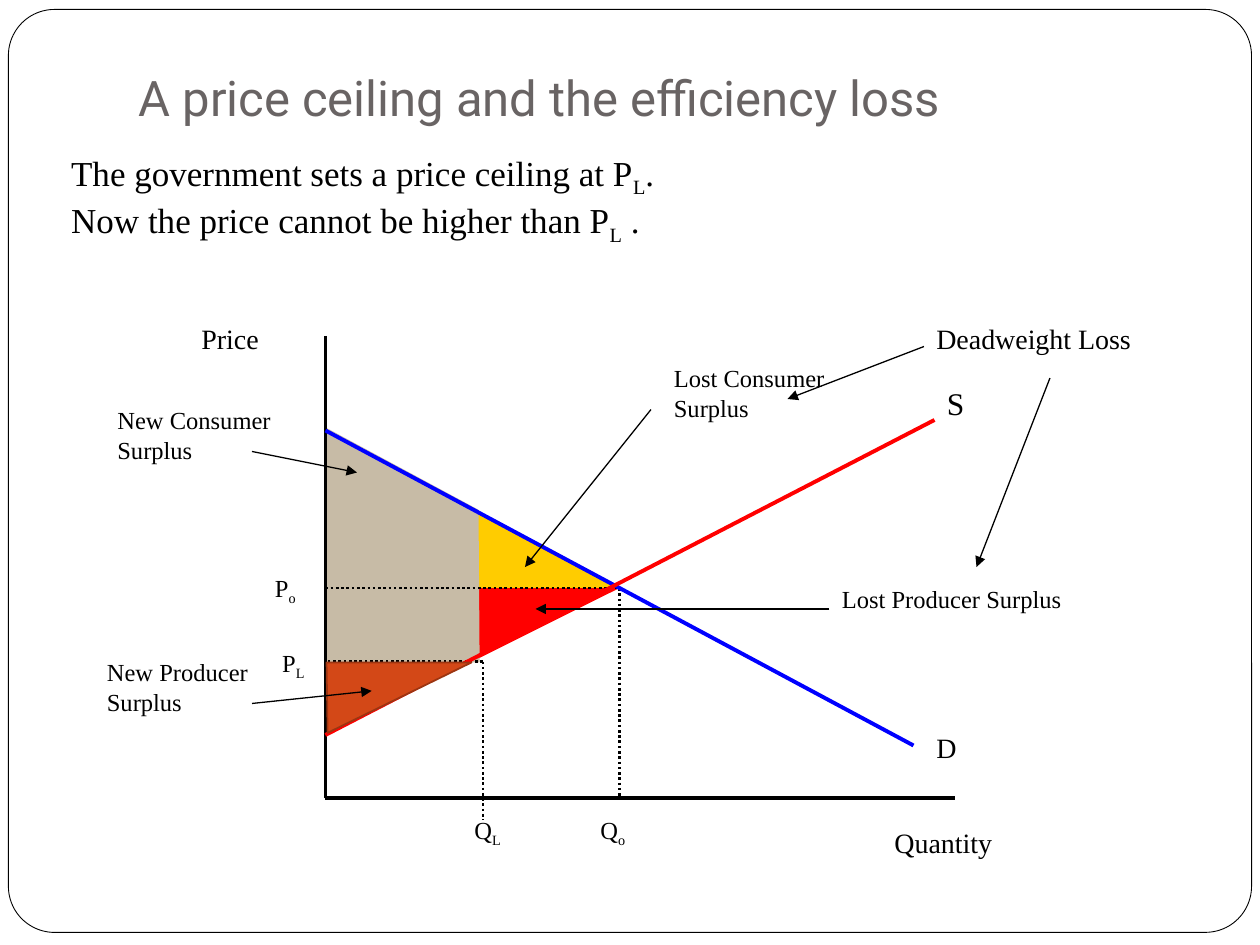
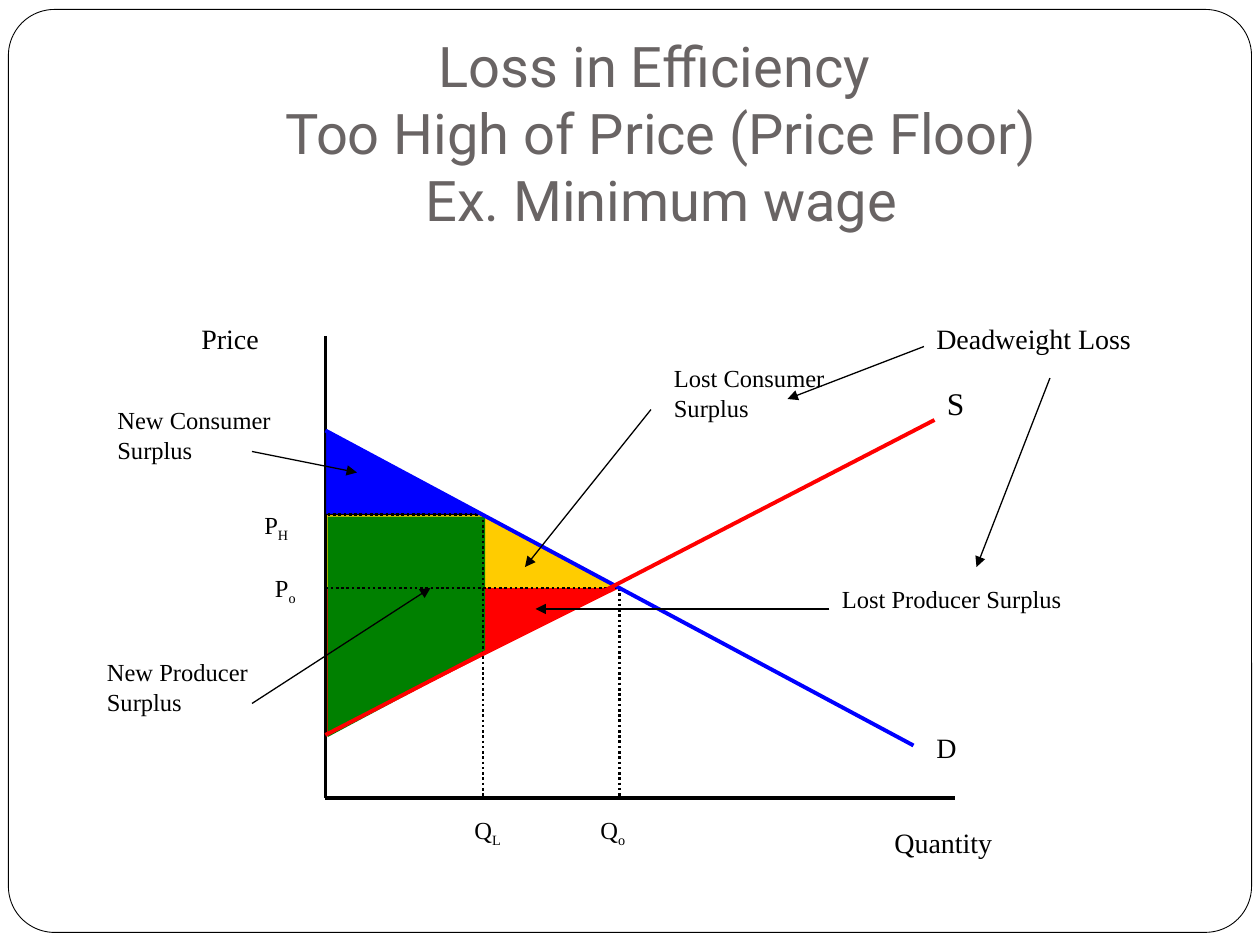
from dataclasses import dataclass

from lxml import etree
from pptx import Presentation
from pptx import util as u
from pptx.dml import color
from pptx.enum import dml, shapes, text
from pptx.oxml import ns

PX = 7620


@dataclass(frozen=True)
class Theme:
    title_font: str = "Roboto"
    body_font: str = "Times New Roman"
    ink: str = "000000"
    paper: str = "FFFFFF"
    title: str = "696464"
    demand: str = "0000FF"
    supply: str = "FF0000"
    lost_consumer: str = "FFCC00"
    lost_producer: str = "FF0000"
    ceiling_consumer: str = "C7BBA6"
    ceiling_producer: str = "D34817"
    ceiling_producer_edge: str = "9C3511"
    floor_consumer: str = "0000FF"
    floor_producer: str = "008000"
    note: int = 14
    label: int = 16
    supply_label: int = 18
    statement: int = 20
    hairline: float = 0.5
    thin: float = 0.75
    edge: float = 1
    dotted: float = 1.5
    thick: float = 2.25


THEME = Theme()

AXIS_X, AXIS_Y = 310, 760
DEMAND_TOP, SUPPLY_BOTTOM = (AXIS_X, 410), (AXIS_X, 700)
EQUILIBRIUM = (590, 560)
Q_LOW, P_LOW, P_HIGH = 460, 630, 490


def px(*lengths):
    return [u.Emu(length * PX) for length in lengths]


def rgb(value):
    return color.RGBColor.from_string(value)


def set_font(paragraph, name, size, ink):
    paragraph.font.name = name
    paragraph.font.size = u.Pt(size)
    paragraph.font.color.rgb = rgb(ink)


def style_shape(shape, fill, edge=None, width=0):
    shape.shadow.inherit = False
    shape.fill.solid()
    shape.fill.fore_color.rgb = rgb(fill)
    if edge:
        shape.line.color.rgb = rgb(edge)
        shape.line.width = u.Pt(width)
    else:
        shape.line.fill.background()


def add_frame(deck, page):
    frame = page.shapes.add_shape(
        shapes.MSO_SHAPE.ROUNDED_RECTANGLE, *px(8, 9, 1184, 879))
    frame.adjustments[0] = 0.05
    style_shape(frame, THEME.paper, THEME.ink, THEME.hairline)
    frame.element.nvSpPr.cNvPr.id = 20
    deck.slide_master.shapes.element.insert(2, frame.element)


def set_title(page, words, height, size, align, bottom_inset):
    title = page.shapes.title
    title.left, title.top, title.width, title.height = px(120, 36, 1020, height)
    frame = title.text_frame
    frame.text = words
    frame.word_wrap = True
    frame.auto_size = text.MSO_AUTO_SIZE.NONE
    frame.vertical_anchor = text.MSO_ANCHOR.BOTTOM
    frame.margin_left, frame.margin_top, frame.margin_right, frame.margin_bottom = px(
        12, 6, 12, bottom_inset)
    paragraph = frame.paragraphs[0]
    paragraph.alignment = align
    set_font(paragraph, THEME.title_font, size, THEME.title)


def add_span(paragraph, words, subscript=False):
    span = paragraph.add_run()
    span.text = words
    if subscript:
        span._r.get_or_add_rPr().set("baseline", "-25000")


def add_text(page, words, left, top, width, height, size=THEME.note, wrap=True):
    box = page.shapes.add_textbox(*px(left, top, width, height))
    frame = box.text_frame
    frame.word_wrap = wrap
    frame.auto_size = text.MSO_AUTO_SIZE.SHAPE_TO_FIT_TEXT
    for index, line in enumerate(words.split("\n")):
        paragraph = frame.add_paragraph() if index else frame.paragraphs[0]
        set_font(paragraph, THEME.body_font, size, THEME.ink)
        plain, *marked = line.split("_")
        add_span(paragraph, plain)
        for part in marked:
            add_span(paragraph, part[0], subscript=True)
            if part[1:]:
                add_span(paragraph, part[1:])


def add_line(page, start, end, width=THEME.thick, ink=THEME.ink):
    line = page.shapes.add_connector(
        shapes.MSO_CONNECTOR.STRAIGHT, *px(*start, *end))
    line.line.color.rgb = rgb(ink)
    line.line.width = u.Pt(width)
    etree.SubElement(line.element.spPr, ns.qn("a:effectLst"))
    return line


def add_dotted(page, start, end):
    line = add_line(page, start, end, THEME.dotted)
    line.line.dash_style = dml.MSO_LINE.ROUND_DOT


def add_arrow(page, start, end):
    arrow = add_line(page, start, end, THEME.thin)
    head = etree.SubElement(arrow.line._get_or_add_ln(), ns.qn("a:tailEnd"))
    head.set("type", "triangle")


def add_area(page, points, fill, edge=None, width=0):
    builder = page.shapes.build_freeform(*points[0], scale=PX)
    builder.add_line_segments(points[1:], close=True)
    style_shape(builder.convert_to_shape(), fill, edge, width)


def add_lost_surplus(page):
    center = (AXIS_X, EQUILIBRIUM[1])
    add_area(page, [SUPPLY_BOTTOM, center, EQUILIBRIUM], THEME.lost_producer)
    add_area(page, [DEMAND_TOP, center, EQUILIBRIUM], THEME.lost_consumer)


def add_axes(page):
    origin = (AXIS_X, AXIS_Y)
    add_line(page, (AXIS_X, 320), origin)
    add_line(page, origin, (910, AXIS_Y))
    add_text(page, "Price", 180, 300, 150, 44, THEME.label)
    add_text(page, "Quantity", 840, 780, 220, 44, THEME.label)


def add_curves(page):
    add_line(page, DEMAND_TOP, (870, 710), ink=THEME.demand)
    add_line(page, SUPPLY_BOTTOM, (890, 400), ink=THEME.supply)
    add_text(page, "S", 890, 360, 60, 48, THEME.supply_label)
    add_text(page, "D", 880, 690, 80, 44, THEME.label)


def add_guides(page, price, quantity_end):
    add_dotted(page, (AXIS_X, EQUILIBRIUM[1]), EQUILIBRIUM)
    add_dotted(page, EQUILIBRIUM, (EQUILIBRIUM[0], AXIS_Y))
    add_dotted(page, (Q_LOW, price), (AXIS_X, price))
    add_dotted(page, (Q_LOW, price), (Q_LOW, quantity_end))
    add_text(page, "P_o", 250, 540, 60, 40)
    add_text(page, "Q_o", 560, 770, 70, 40)
    add_text(page, "Q_L", 440, 770, 70, 40)


def add_callouts(page, producer_target):
    add_text(page, "New Consumer Surplus", 100, 380, 190, 68)
    add_text(page, "New Producer Surplus", 90, 620, 180, 68)
    add_text(page, "Lost Consumer Surplus", 630, 340, 180, 96)
    add_text(page, "Lost Producer Surplus", 790, 550, 260, 40)
    add_text(page, "Deadweight Loss", 880, 300, 250, 44, THEME.label)
    for start, end in (
        ((240, 430), (340, 450)),
        ((240, 670), producer_target),
        ((620, 390), (500, 540)),
        ((790, 580), (510, 580)),
        ((880, 330), (750, 380)),
        ((1000, 360), (930, 540)),
    ):
        add_arrow(page, start, end)


def build_ceiling(page):
    set_title(page, "A price ceiling and the efficiency loss", 150, 28,
              text.PP_ALIGN.LEFT, 66)
    add_lost_surplus(page)
    add_area(page, [(310, 408), (311, P_LOW), (456, P_LOW), (455, 486)],
             THEME.ceiling_consumer, THEME.ceiling_consumer, THEME.edge)
    add_axes(page)
    add_guides(page, P_LOW, 781)
    add_curves(page)
    add_area(page, [(312, 698), (311, 631), (449, 631)],
             THEME.ceiling_producer, THEME.ceiling_producer_edge, THEME.edge)
    add_text(page, "P_L", 257, 611, 60, 40)
    add_callouts(page, (354, 658))
    add_text(page, "The government sets a price ceiling at P_L.\n"
             "Now the price cannot be higher than P_L .",
             56, 138, 602, 92, THEME.statement, wrap=False)


def build_floor(page):
    set_title(page, "Loss in Efficiency \vToo High of Price (Price Floor)\v"
              "Ex. Minimum wage", 198, 32, text.PP_ALIGN.CENTER, 12)
    add_lost_surplus(page)
    add_axes(page)
    add_area(page, [DEMAND_TOP, (AXIS_X, P_HIGH), (Q_LOW, P_HIGH)],
             THEME.floor_consumer, THEME.ink, THEME.thin)
    add_area(page, [(312, 492), (312, 702), (462, 622), (462, 492)],
             THEME.floor_producer)
    add_guides(page, P_HIGH, AXIS_Y)
    add_curves(page)
    add_text(page, "P_H", 240, 480, 60, 40)
    add_callouts(page, (410, 560))


def main():
    deck = Presentation()
    deck.slide_width, deck.slide_height = px(1200, 900)
    title_only = deck.slide_layouts[5]
    ceiling = deck.slides.add_slide(title_only)
    add_frame(deck, ceiling)
    build_ceiling(ceiling)
    build_floor(deck.slides.add_slide(title_only))
    deck.save("out.pptx")


if __name__ == "__main__":
    main()
